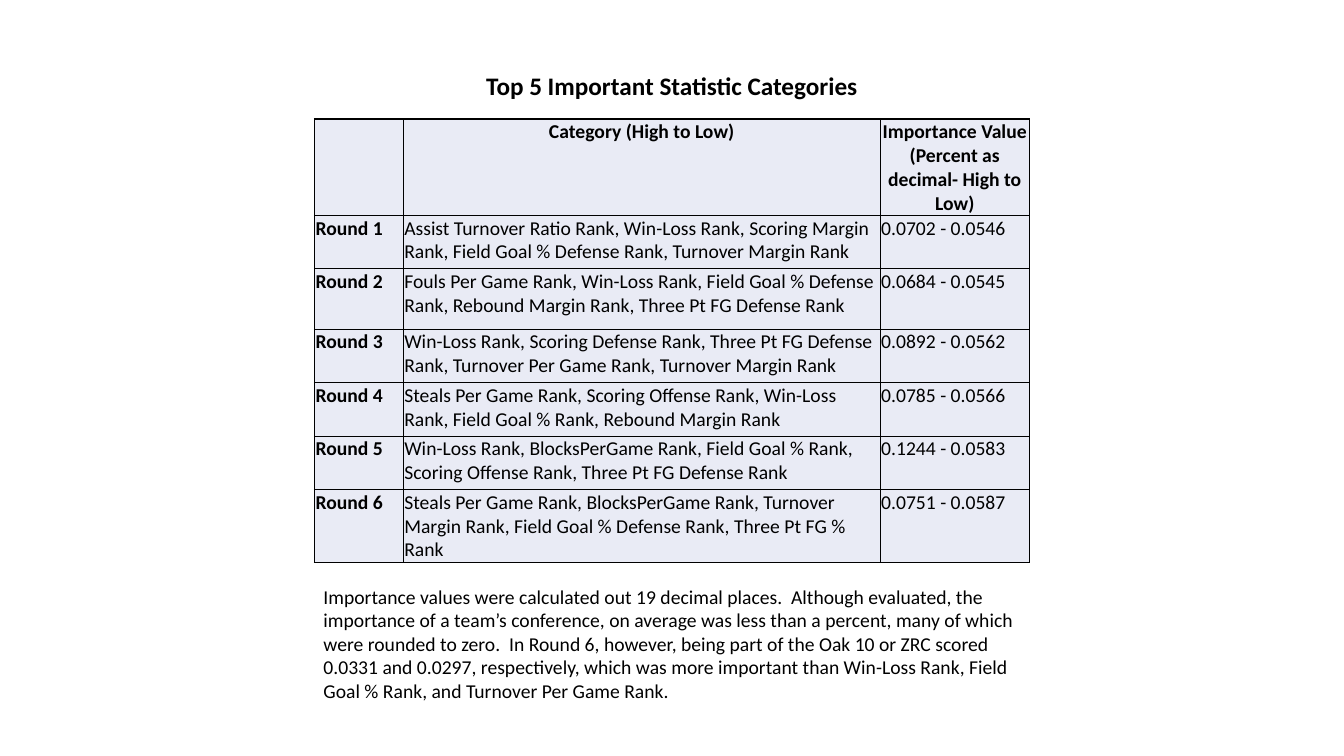
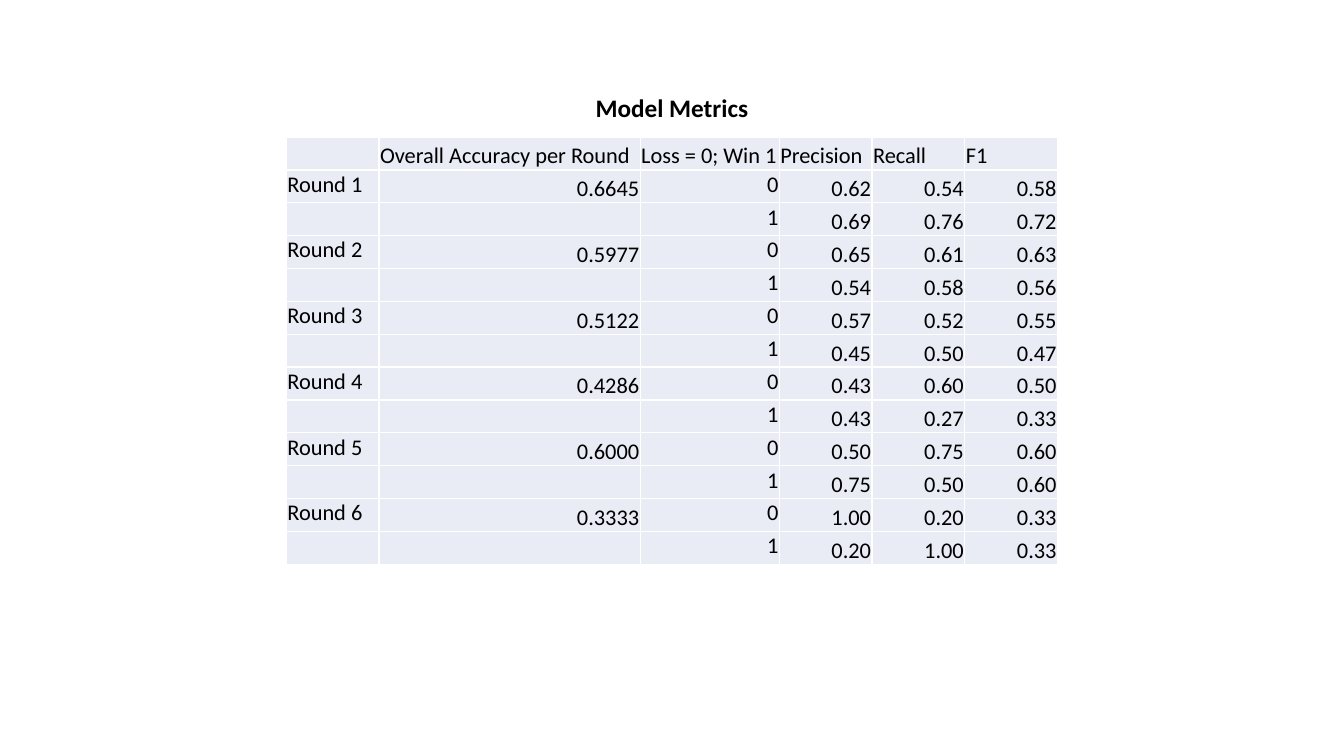
from lxml.etree import SubElement as Sub
from pptx import Presentation
from pptx.dml.color import RGBColor
from pptx.enum.text import MSO_ANCHOR as Anchor, MSO_AUTO_SIZE as Fit, PP_ALIGN as Align
from pptx.oxml.ns import qn
from pptx.util import Inches, Pt

BLACK = RGBColor(0x00, 0x00, 0x00)
WHITE = RGBColor(0xFF, 0xFF, 0xFF)
PALE = RGBColor(0xE9, 0xEB, 0xF5)
FONT = "Calibri"

RANKS = [
    ("", "Category (High to Low)",
     "Importance Value (Percent as decimal- High to Low)"),
    ("Round 1", "Assist Turnover Ratio Rank, Win-Loss Rank, Scoring Margin Rank, "
     "Field Goal % Defense Rank, Turnover Margin Rank", "0.0702 - 0.0546"),
    ("Round 2", "Fouls Per Game Rank, Win-Loss Rank, Field Goal % Defense Rank, "
     "Rebound Margin Rank, Three Pt FG Defense Rank", "0.0684 - 0.0545"),
    ("Round 3", "Win-Loss Rank, Scoring Defense Rank, Three Pt FG Defense Rank, "
     "Turnover Per Game Rank, Turnover Margin Rank", "0.0892 - 0.0562"),
    ("Round 4", "Steals Per Game Rank, Scoring Offense Rank, Win-Loss Rank, "
     "Field Goal % Rank, Rebound Margin Rank", "0.0785 - 0.0566"),
    ("Round 5", "Win-Loss Rank, BlocksPerGame Rank, Field Goal % Rank, "
     "Scoring Offense Rank, Three Pt FG Defense Rank", "0.1244 - 0.0583"),
    ("Round 6", "Steals Per Game Rank, BlocksPerGame Rank, Turnover Margin Rank, "
     "Field Goal % Defense Rank, Three Pt FG % Rank", "0.0751 - 0.0587"),
]
NOTE = (
    "Importance values were calculated out 19 decimal places.  Although evaluated, "
    "the importance of a team’s conference, on average was less than a percent, many "
    "of which were rounded to zero.  In Round 6, however, being part of the Oak 10 or "
    "ZRC scored 0.0331 and 0.0297, respectively, which was more important than "
    "Win-Loss Rank, Field Goal % Rank, and Turnover Per Game Rank."
)
HEADS = ("", "Overall Accuracy per Round", "Loss = 0; Win 1", "Precision", "Recall", "F1")
SCORES = [
    ("0.6645", ("0.62", "0.54", "0.58"), ("0.69", "0.76", "0.72")),
    ("0.5977", ("0.65", "0.61", "0.63"), ("0.54", "0.58", "0.56")),
    ("0.5122", ("0.57", "0.52", "0.55"), ("0.45", "0.50", "0.47")),
    ("0.4286", ("0.43", "0.60", "0.50"), ("0.43", "0.27", "0.33")),
    ("0.6000", ("0.50", "0.75", "0.60"), ("0.75", "0.50", "0.60")),
    ("0.3333", ("1.00", "0.20", "0.33"), ("0.20", "1.00", "0.33")),
]


def write(frame, text, size, bold=False, align=Align.LEFT):
    frame.text = text
    for para in frame.paragraphs:
        para.alignment = align
        for run in para.runs:
            font = run.font
            font.name, font.size, font.bold = FONT, Pt(size), bold
            font.color.rgb = BLACK


def add_text(slide, box, text, size, **style):
    frame = slide.shapes.add_textbox(*map(Inches, box)).text_frame
    frame.word_wrap = True
    frame.auto_size = Fit.SHAPE_TO_FIT_TEXT
    write(frame, text, size, **style)


def add_title(slide, top, text):
    add_text(slide, (4.68, top, 3.97, 0.4), text, 18, bold=True, align=Align.CENTER)


def add_edges(cell, color):
    props = cell._tc.get_or_add_tcPr()
    for side in ("lnL", "lnR", "lnT", "lnB"):
        line = Sub(props, qn(f"a:{side}"), w=str(Pt(1)))
        fill = Sub(line, qn("a:solidFill"))
        Sub(fill, qn("a:srgbClr"), val=str(color))


def add_grid(slide, left, top, cols, rows, data, size, edge, style):
    box = map(Inches, (left, top, sum(cols), sum(rows)))
    table = slide.shapes.add_table(len(rows), len(cols), *box).table
    table.first_row = table.horz_banding = False
    for col, width in zip(table.columns, cols):
        col.width = Inches(width)
    for r, (row, height) in enumerate(zip(table.rows, rows)):
        row.height = Inches(height)
        for c, (cell, text) in enumerate(zip(row.cells, data[r])):
            add_edges(cell, edge)
            cell.fill.solid()
            cell.fill.fore_color.rgb = PALE
            cell.margin_left = cell.margin_right = cell.margin_top = Inches(0.01)
            cell.margin_bottom = 0
            bold, align, cell.vertical_anchor = style(r, c)
            write(cell.text_frame, text, size, bold, align)


def rank_style(r, c):
    return r == 0 or c == 0, Align.LEFT if r else Align.CENTER, Anchor.TOP


def score_style(r, c):
    align = Align.RIGHT if r and c else Align.LEFT
    return False, align, Anchor.TOP if r and c in (0, 2) else Anchor.BOTTOM


def score_rows():
    rows = [HEADS]
    for n, (total, loss, win) in enumerate(SCORES, 1):
        rows += [(f"Round {n}", total, "0", *loss), ("", "", "1", *win)]
    return rows


def add_ranks(slide):
    heights = [0.95, 0.53, 0.6] + [0.53] * 3 + [0.71]
    add_grid(slide, 3.12, 1.18, [0.88, 4.73, 1.48], heights, RANKS, 14, BLACK, rank_style)
    add_title(slide, 0.65, "Top 5 Important Statistic Categories")
    add_text(slide, (3.11, 5.75, 7.1, 1.28), NOTE, 14)


def add_scores(slide):
    data = score_rows()
    cols = [0.92, 2.59, 1.38] + [0.92] * 3
    heights = [4.24 / len(data)] * len(data)
    add_grid(slide, 2.84, 1.36, cols, heights, data, 16, WHITE, score_style)
    add_title(slide, 0.87, "Model Metrics")


def main():
    deck = Presentation()
    deck.slide_width, deck.slide_height = Inches(13.33), Inches(7.5)
    for build in (add_ranks, add_scores):
        build(deck.slides.add_slide(deck.slide_layouts[6]))
    deck.save("out.pptx")


if __name__ == "__main__":
    main()
